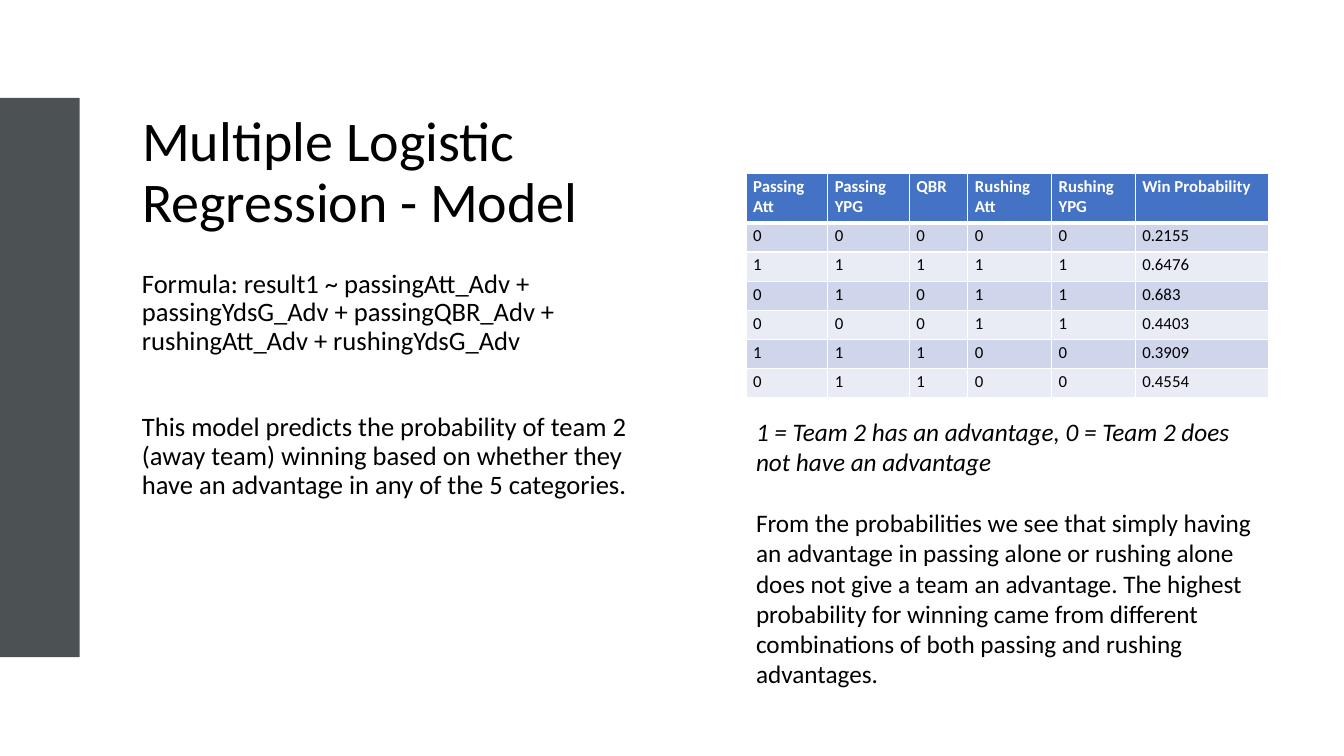
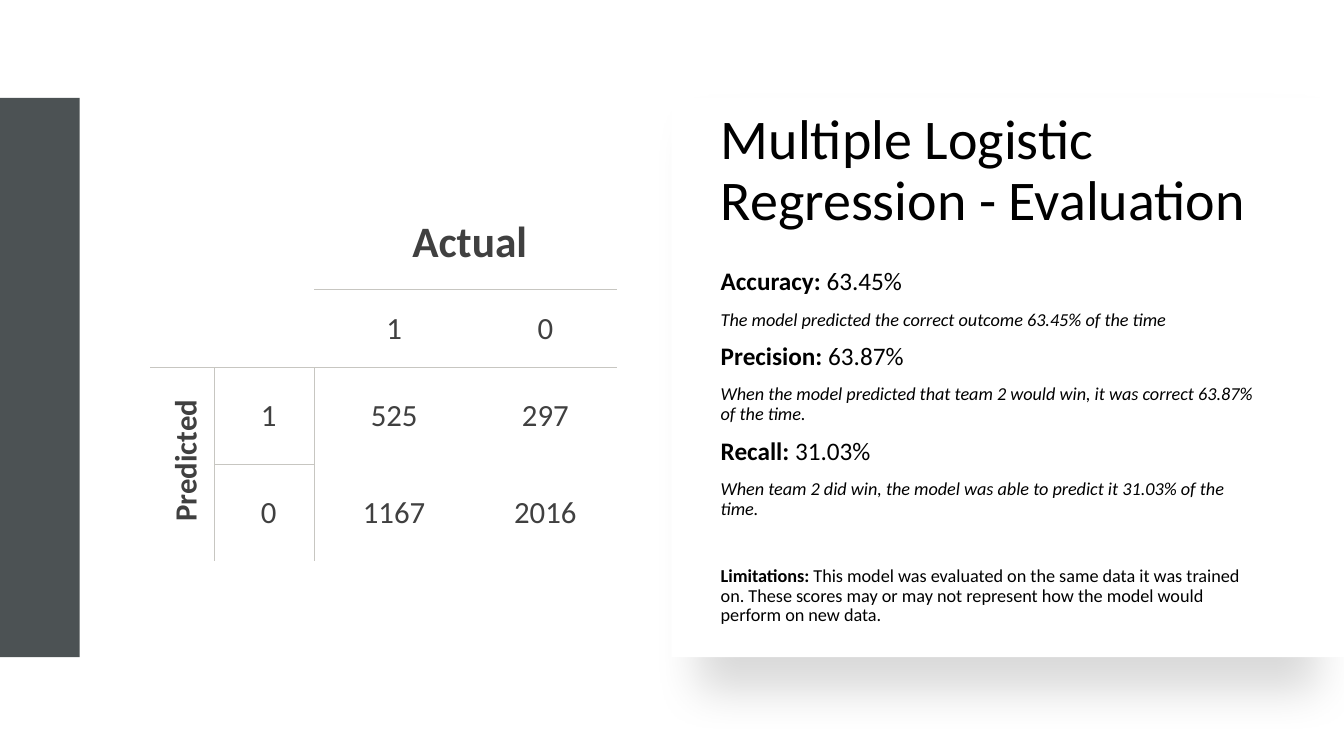
from lxml.etree import SubElement
from pptx import Presentation
from pptx.dml.color import RGBColor
from pptx.enum.shapes import MSO_SHAPE
from pptx.enum.text import MSO_ANCHOR, MSO_AUTO_SIZE, PP_ALIGN
from pptx.oxml import parse_xml
from pptx.oxml.ns import nsdecls, qn
from pptx.util import Emu, Pt

PX = 9144  # 100 px to the inch
FONT = "Calibri"
COLOURS = {
    "band": "4C5254",
    "white": "FFFFFF",
    "text": "000000",
    "header": "4472C4",
    "row_dark": "CFD5EA",
    "row_light": "E9EBF5",
    "matrix_text": "404040",
    "matrix_line": "C7C6C1",
}
BAND_BOX = (0, 97, 79, 555)
PANEL_BOX = (666, 97, 667, 555)
NO_STYLE = "{2D5ABB26-0587-4C30-8999-92F81FD0307C}"
BODY_SPACING = {"line_spacing": 0.9, "space_before": Pt(10)}

PROBABILITY_COLUMNS = (81, 81, 58, 83, 83, 132)
PROBABILITY_ROWS = (
    ("Passing Att", "Passing YPG", "QBR", "Rushing Att", "Rushing YPG", "Win Probability"),
    ("0", "0", "0", "0", "0", "0.2155"),
    ("1", "1", "1", "1", "1", "0.6476"),
    ("0", "1", "0", "1", "1", "0.683"),
    ("0", "0", "0", "1", "1", "0.4403"),
    ("1", "1", "1", "0", "0", "0.3909"),
    ("0", "1", "1", "0", "0", "0.4554"),
)
MATRIX_COLUMNS = (63, 99, 150, 150)
MATRIX_HEIGHTS = (93, 78, 96, 96)
MATRIX_ROWS = (
    ("", "", "Actual", ""),
    ("", "", "1", "0"),
    ("Predicted", "1", "525", "297"),
    ("", "0", "1167", "2016"),
)
MATRIX_MERGES = (((0, 0), (1, 1)), ((0, 2), (0, 3)), ((2, 0), (3, 0)))
# Each ruled edge is named from the cells on both of its sides.
MATRIX_BORDERS = {
    "R": {(2, 0), (3, 0)},
    "L": {(2, 1), (3, 1)},
    "B": {(0, 0), (1, 0), (1, 1), (0, 2), (0, 3)},
    "T": {(2, 0), (2, 1), (1, 2), (1, 3)},
}
SCORES = (
    ("Accuracy: ", "63.45%", "The model predicted the correct outcome 63.45% of the time"),
    ("Precision: ", "63.87%",
     "When the model predicted that team 2 would win, it was correct 63.87% of the time."),
    ("Recall: ", "31.03%",
     "When team 2 did win, the model was able to predict it 31.03% of the time."),
)


def colour(name):
    return RGBColor.from_string(COLOURS[name])


def emu_box(box):
    return [Emu(length * PX) for length in box]


def set_values(target, values):
    for name, value in values.items():
        setattr(target, name, value)


def add_run(paragraph, text, size, colour_name="text", **font_values):
    run = paragraph.add_run()
    run.text = text
    set_values(run.font, {"name": FONT, "size": Pt(size), **font_values})
    run.font.color.rgb = colour(colour_name)


def add_text(slide, box, paragraphs):
    """Each paragraph is (runs, paragraph values); a run is (text, size, font values)."""
    frame = slide.shapes.add_textbox(*emu_box(box)).text_frame
    frame.word_wrap = True
    for index, (runs, values) in enumerate(paragraphs):
        paragraph = frame.add_paragraph() if index else frame.paragraphs[0]
        set_values(paragraph, values)
        for text, size, font_values in runs:
            add_run(paragraph, text, size, **font_values)


def add_rectangle(slide, box, fill):
    shape = slide.shapes.add_shape(MSO_SHAPE.RECTANGLE, *emu_box(box))
    shape.shadow.inherit = False
    shape.fill.solid()
    shape.fill.fore_color.rgb = colour(fill)
    shape.line.fill.background()
    return shape


def add_shadow_panel(slide, box):
    panel = add_rectangle(slide, box, "white")
    effects = panel._element.spPr.find(qn("a:effectLst"))
    effects.append(parse_xml(
        f'<a:outerShdw {nsdecls("a")} blurRad="{Pt(32)}" dist="{Pt(25)}" dir="5400000" '
        f'sx="92000" sy="100000" algn="b" rotWithShape="0"><a:srgbClr val="{COLOURS["text"]}">'
        '<a:alpha val="15000"/></a:srgbClr></a:outerShdw>'))


def add_title(slide, box, text):
    """Fill the title placeholder and bring it in front of what is already drawn."""
    title = slide.shapes.title
    slide.shapes._spTree.append(title._element)
    set_values(title, dict(zip(("left", "top", "width", "height"), emu_box(box))))
    set_values(title.text_frame, {
        "word_wrap": True,
        "auto_size": MSO_AUTO_SIZE.NONE,
        "vertical_anchor": MSO_ANCHOR.MIDDLE,
    })
    paragraph = title.text_frame.paragraphs[0]
    set_values(paragraph, {"alignment": PP_ALIGN.LEFT, "line_spacing": 0.9, "space_before": Pt(0)})
    add_run(paragraph, text, 40)


def add_plain_table(slide, left, top, widths, heights):
    box = (left, top, sum(widths), sum(heights))
    table = slide.shapes.add_table(len(heights), len(widths), *emu_box(box)).table
    table._tbl.tblPr.find(qn("a:tableStyleId")).text = NO_STYLE
    set_values(table, {"first_row": False, "horz_banding": False})
    for column, width in zip(table.columns, widths):
        column.width = Emu(width * PX)
    for row, height in zip(table.rows, heights):
        row.height = Emu(height * PX)
    return table


def set_margins(cell, margins):
    names = ("margin_left", "margin_top", "margin_right", "margin_bottom")
    set_values(cell, dict(zip(names, emu_box(margins))))


def set_borders(cell, colour_name, widths):
    """Draw the sides in widths, a dict of points keyed by L, R, T and B."""
    properties = cell._tc.get_or_add_tcPr()
    sides = [side for side in "LRTB" if side in widths]
    for index, side in enumerate(sides):
        line = SubElement(properties, qn(f"a:ln{side}"), w=str(Pt(widths[side])))
        fill = SubElement(line, qn("a:solidFill"))
        SubElement(fill, qn("a:srgbClr"), val=COLOURS[colour_name])
        properties.insert(index, line)


def add_probability_table(slide, left, top):
    heights = [49] + [29] * (len(PROBABILITY_ROWS) - 1)
    table = add_plain_table(slide, left, top, PROBABILITY_COLUMNS, heights)
    for row, texts in enumerate(PROBABILITY_ROWS):
        header = row == 0
        fill = "header" if header else ("row_light", "row_dark")[row % 2]
        widths = {"L": 1, "R": 1, "T": 3 if row == 1 else 1, "B": 3 if header else 1}
        for column, text in enumerate(texts):
            cell = table.cell(row, column)
            set_margins(cell, (7, 3, 7, 3))
            cell.fill.solid()
            cell.fill.fore_color.rgb = colour(fill)
            set_borders(cell, "white", widths)
            add_run(cell.text_frame.paragraphs[0], text, 12,
                    "white" if header else "text", bold=header)


def add_confusion_matrix(slide, left, top):
    table = add_plain_table(slide, left, top, MATRIX_COLUMNS, MATRIX_HEIGHTS)
    for first, last in MATRIX_MERGES:
        table.cell(*first).merge(table.cell(*last))
    for row, texts in enumerate(MATRIX_ROWS):
        for column, text in enumerate(texts):
            cell = table.cell(row, column)
            cell.fill.background()
            set_borders(cell, "matrix_line", {
                side: 0.75 for side, cells in MATRIX_BORDERS.items() if (row, column) in cells})
            if not text:
                continue
            set_margins(cell, (34, 17, 26, 17))
            cell.vertical_anchor = MSO_ANCHOR.MIDDLE
            paragraph = cell.text_frame.paragraphs[0]
            paragraph.alignment = PP_ALIGN.CENTER
            add_run(paragraph, text, 31 if text == "Actual" else 22, "matrix_text",
                    bold=text.isalpha())
            if text == "Predicted":
                cell._tc.get_or_add_tcPr().set("vert", "vert270")


def add_scores(slide, box):
    paragraphs = []
    for label, value, meaning in SCORES:
        paragraphs.append(([(label, 18, {"bold": True}), (value, 18, {})], BODY_SPACING))
        paragraphs.append(([(meaning, 13, {"italic": True})], BODY_SPACING))
    limitations = (
        "This model was evaluated on the same data it was trained on. "
        "These scores may or may not represent how the model would perform on new data.")
    paragraphs.append((
        [("Limitations: ", 13, {"bold": True}), (limitations, 13, {})],
        {**BODY_SPACING, "space_before": Pt(34)}))
    add_text(slide, box, paragraphs)


def add_banded_slide(presentation):
    slide = presentation.slides.add_slide(presentation.slide_layouts[5])
    add_rectangle(slide, BAND_BOX, "band")
    return slide


def build_model_slide(presentation):
    slide = add_banded_slide(presentation)
    add_title(slide, (131, 99, 536, 147), "Multiple Logistic Regression - Model")
    formula = (
        "Formula: result1 ~ passingAtt_Adv + passingYdsG_Adv + passingQBR_Adv + "
        "rushingAtt_Adv + rushingYdsG_Adv")
    prediction = (
        "This model predicts the probability of team 2 (away team) winning based on "
        "whether they have an advantage in any of the 5 categories.")
    add_text(slide, (131, 263, 534, 398), [
        ([(formula, 19, {})], BODY_SPACING),
        ([(prediction, 19, {})], {**BODY_SPACING, "space_before": Pt(41)}),
    ])
    add_probability_table(slide, 740, 172)
    key = "1 = Team 2 has an advantage, 0 = Team 2 does not have an advantage"
    finding = (
        "From the probabilities we see that simply having an advantage in passing alone or "
        "rushing alone does not give a team an advantage. The highest probability for winning "
        "came from different combinations of both passing and rushing advantages.")
    add_text(slide, (740, 408, 518, 342), [
        ([(key, 18, {"italic": True})], {}),
        ([(finding, 18, {})], {"space_before": Pt(22)}),
    ])


def build_evaluation_slide(presentation):
    slide = add_banded_slide(presentation)
    add_shadow_panel(slide, PANEL_BOX)
    add_title(slide, (705, 97, 554, 147), "Multiple Logistic Regression - Evaluation")
    add_scores(slide, (705, 262, 554, 372))
    add_confusion_matrix(slide, 149, 194)


def main():
    presentation = Presentation()
    set_values(presentation, {"slide_width": Emu(1333 * PX), "slide_height": Emu(750 * PX)})
    build_model_slide(presentation)
    build_evaluation_slide(presentation)
    presentation.save("out.pptx")


if __name__ == "__main__":
    main()
